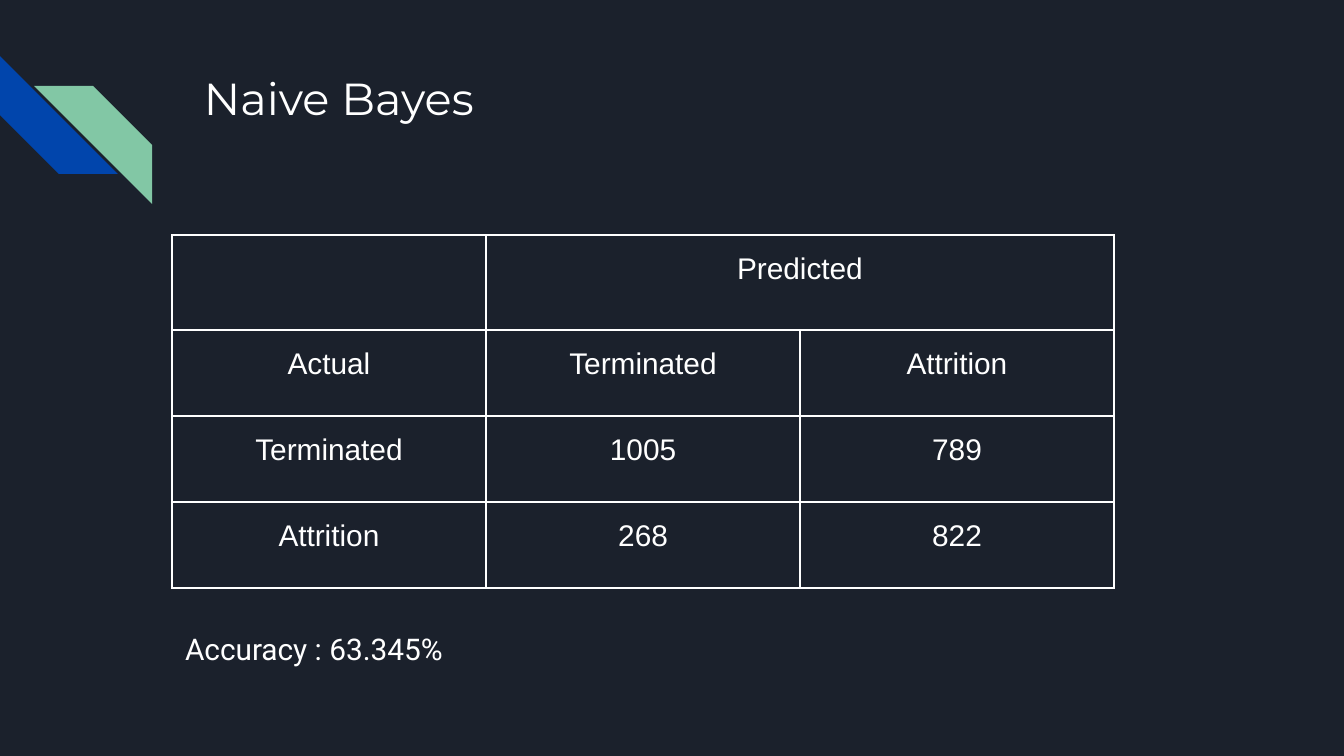
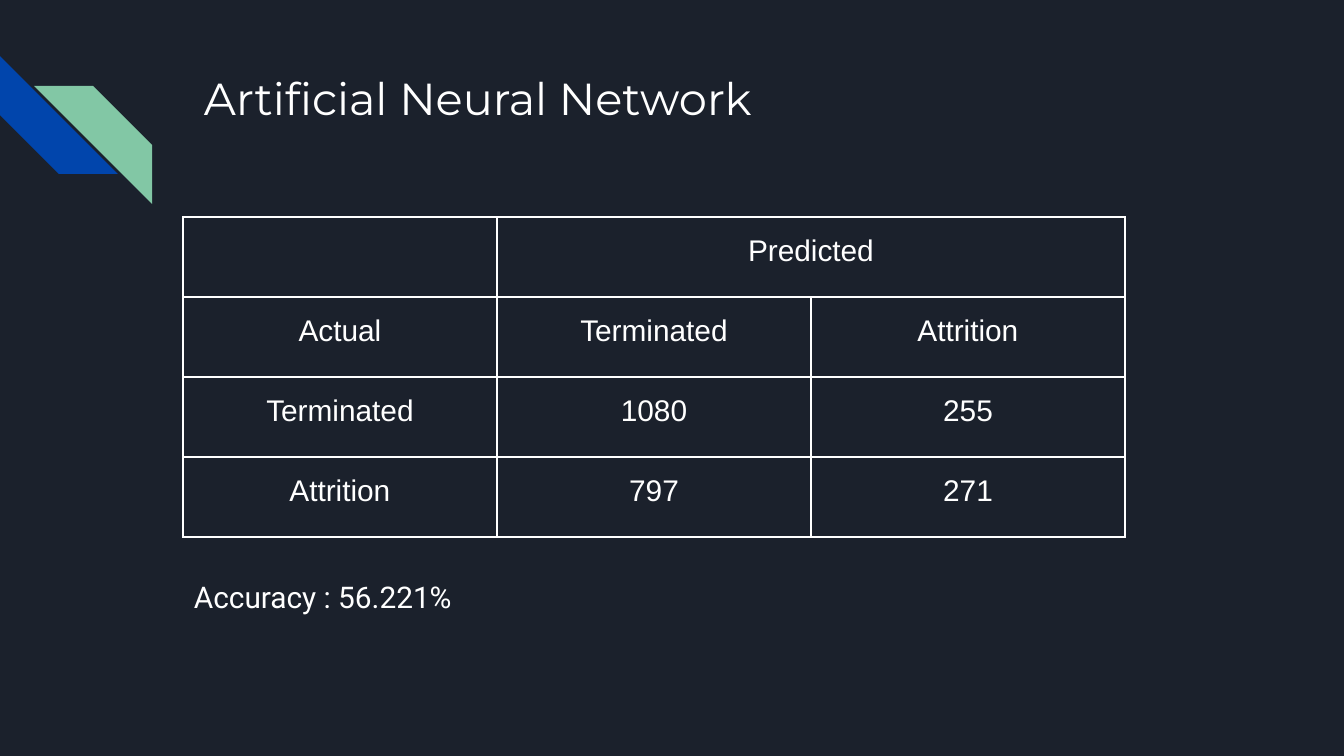
import pptx
import pptx.dml.color
import pptx.enum.shapes
import pptx.enum.text
import pptx.oxml
import pptx.oxml.ns
import pptx.util

RGBColor = pptx.dml.color.RGBColor
NAVY = RGBColor(0x1B, 0x21, 0x2C)
BLUE = RGBColor(0x01, 0x45, 0xAC)
GREEN = RGBColor(0x82, 0xC7, 0xA5)
WHITE = RGBColor(0xFF, 0xFF, 0xFF)

SLIDE_W, SLIDE_H = 1344, 756
COL_W = 314
PAD = 13
CELL_PAD = 9


def px(n):
    """Convert px to EMU: 1344 px make the 10 inch slide width."""
    return pptx.util.Emu(round(n * 9144000 / SLIDE_W))


class Deck:
    def __init__(self):
        self.prs = pptx.Presentation()
        self.prs.slide_width, self.prs.slide_height = px(SLIDE_W), px(SLIDE_H)
        self.s = None

    def slide(self, title):
        self.s = self.prs.slides.add_slide(self.prs.slide_layouts[6])
        fill = self.s.background.fill
        fill.solid()
        fill.fore_color.rgb = NAVY
        self.stripe(0, 56, 270, BLUE)
        self.stripe(34, 86, 90, GREEN)
        self.text(191, 58, 1035, 134, title, 24, "Montserrat")

    def stripe(self, x, y, rotation, color):
        sp = self.s.shapes.add_shape(
            pptx.enum.shapes.MSO_SHAPE.DIAGONAL_STRIPE,
            px(x), px(y), px(118), px(118))
        sp.adjustments[0] = 0.5
        sp.rotation = rotation
        sp.shadow.inherit = False
        sp.fill.solid()
        sp.fill.fore_color.rgb = color
        sp.line.fill.background()

    def run(self, p, text, size, font):
        r = p.add_run()
        r.text = text
        r.font.size = pptx.util.Pt(size)
        r.font.name = font
        r.font.color.rgb = WHITE

    def text(self, x, y, w, h, text, size, font):
        tf = self.s.shapes.add_textbox(px(x), px(y), px(w), px(h)).text_frame
        tf.word_wrap = True
        tf.margin_left = tf.margin_right = px(PAD)
        tf.margin_top = tf.margin_bottom = px(PAD)
        self.run(tf.paragraphs[0], text, size, font)

    def borders(self, cell):
        tc_pr = cell._tc.get_or_add_tcPr()
        for side in ("lnL", "lnR", "lnT", "lnB"):
            tc_pr.append(pptx.oxml.parse_xml(
                f'<a:{side} {pptx.oxml.ns.nsdecls("a")} w="{pptx.util.Pt(1)}">'
                f'<a:solidFill><a:srgbClr val="{WHITE}"/></a:solidFill>'
                f'</a:{side}>'))

    def confusion_matrix(self, x, y, heights, counts):
        """Draw actual classes as rows against predicted classes as columns."""
        classes = ("Terminated", "Attrition")
        rows = [("", "Predicted", ""), ("Actual", *classes)]
        rows += [(name, *line) for name, line in zip(classes, counts)]
        table = self.s.shapes.add_table(
            len(rows), 3, px(x), px(y), px(3 * COL_W), px(sum(heights))).table
        table.first_row = table.horz_banding = False
        for col in table.columns:
            col.width = px(COL_W)
        for i, (row, height) in enumerate(zip(rows, heights)):
            table.rows[i].height = px(height)
            for j, value in enumerate(row):
                self.cell(table.cell(i, j), str(value))
        table.cell(0, 1).merge(table.cell(0, 2))

    def cell(self, cell, text):
        self.borders(cell)
        cell.fill.background()
        cell.margin_left = cell.margin_right = px(CELL_PAD)
        cell.margin_top = cell.margin_bottom = px(PAD)
        if text:
            p = cell.text_frame.paragraphs[0]
            p.alignment = pptx.enum.text.PP_ALIGN.CENTER
            p.line_spacing = 1.15
            self.run(p, text, 16, "Arial")

    def accuracy(self, x, y, w, percent):
        self.text(x, y, w, 93, f"Accuracy : {percent}%", 16, "Roboto")


def main():
    deck = Deck()

    deck.slide("Naive Bayes")
    deck.confusion_matrix(172, 235, (95, 86, 86, 86), ((1005, 789), (268, 822)))
    deck.accuracy(172, 618, 927, 63.345)

    deck.slide("Artificial Neural Network")
    deck.confusion_matrix(183, 217, (80, 80, 80, 80), ((1080, 255), (797, 271)))
    deck.accuracy(181, 566, 941, 56.221)

    deck.prs.save("out.pptx")


if __name__ == "__main__":
    main()
